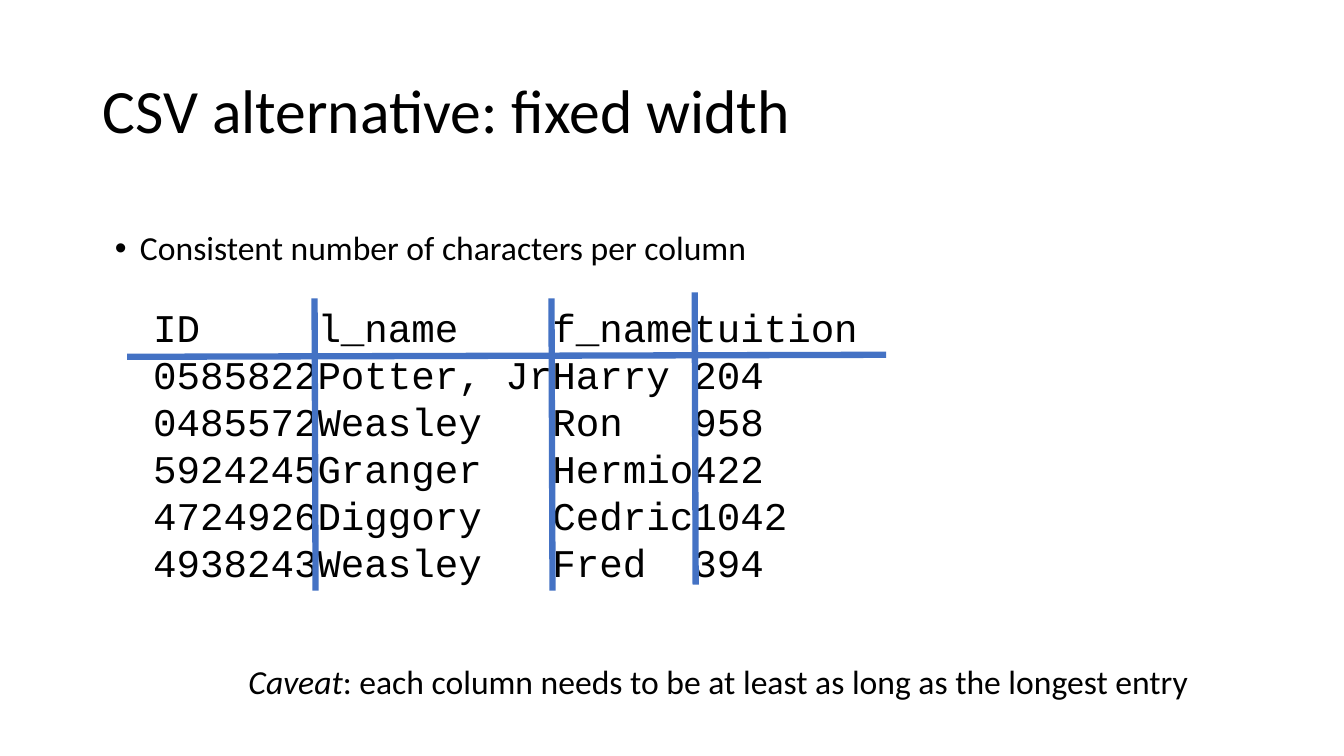
from pptx import Presentation
from pptx.util import Inches, Pt
from pptx.dml.color import RGBColor
from pptx.enum.shapes import MSO_CONNECTOR
from pptx.enum.text import MSO_ANCHOR, PP_ALIGN
from lxml.etree import SubElement
from pptx.oxml.ns import qn

# Content
TITLE = "CSV alternative: fixed width"
POINT = "Consistent number of characters per column"
CAVEAT = [("Caveat", True),
          (": each column needs to be at least as long as the longest entry", False)]
WIDTHS = (7, 10, 6, 0)  # characters per column
ROWS = [
    ("ID", "l_name", "f_name", "tuition"),
    ("0585822", "Potter, Jr", "Harry", "204"),
    ("0485572", "Weasley", "Ron", "958"),
    ("5924245", "Granger", "Hermio", "422"),
    ("4724926", "Diggory", "Cedric", "1042"),
    ("4938243", "Weasley", "Fred", "394"),
]
RULES = [(3.12, 2.96), (5.47, 2.96), (6.89, 2.9)]  # top ends of column rules
TALL, LEAN = 2.9, 0.01
HEAD = (1.26, 3.54, 8.79, 3.52)  # between the headings and the first row

BLACK = RGBColor(0, 0, 0)
BLUE = RGBColor(0x44, 0x72, 0xC4)
SANS, MONO = "Calibri", "Courier New"
PAD = (chr(160) + " ") * 5  # no-break fill for short fields

deck = Presentation()
deck.slide_width, deck.slide_height = Inches(13.33), Inches(7.5)
slide = deck.slides.add_slide(deck.slide_layouts[6])


def add_box(left, top, width, height):
    box = slide.shapes.add_textbox(*map(Inches, (left, top, width, height)))
    box.text_frame.word_wrap = True
    return box.text_frame


def add_run(para, text, size, font=SANS, italic=False):
    run = para.add_run()
    run.text = text
    run.font.size, run.font.name = Pt(size), font
    run.font.italic = italic
    run.font.color.rgb = BLACK


def add_rule(*ends):
    rule = slide.shapes.add_connector(MSO_CONNECTOR.STRAIGHT, *map(Inches, ends))
    rule.line.color.rgb, rule.line.width = BLUE, Pt(4.5)
    SubElement(rule._element.spPr, qn("a:effectLst"))


# Title
frame = add_box(0.92, 0.4, 11.5, 1.45)
frame.vertical_anchor = MSO_ANCHOR.MIDDLE
para = frame.paragraphs[0]
para.line_spacing = 0.9
add_run(para, TITLE, 44)

# Bullet point
para = add_box(0.54, 2.25, 9.06, 0.94).paragraphs[0]
para.line_spacing, para.space_before = 0.9, Pt(5)
props = para._p.get_or_add_pPr()
props.set("marL", str(Inches(0.75)))
props.set("indent", str(Inches(-0.25)))
SubElement(props, qn("a:buFont"), typeface="Arial")
SubElement(props, qn("a:buChar"), char="•")
add_run(para, POINT, 24)

# Fixed-width data
frame = add_box(1.42, 2.96, 10.15, 3.4)
for i, row in enumerate(ROWS):
    para = frame.add_paragraph() if i else frame.paragraphs[0]
    para.line_spacing = Pt(33.6)
    line = "".join(cell + PAD[:max(0, wide - len(cell))]
                   for cell, wide in zip(row, WIDTHS))
    add_run(para, line, 28, MONO)

# Caveat
para = add_box(0.91, 6.51, 12.43, 0.5).paragraphs[0]
para.alignment = PP_ALIGN.CENTER
for text, italic in CAVEAT:
    add_run(para, text, 24, italic=italic)

# Column and header rules
for x, y in RULES:
    add_rule(x, y, x + LEAN, y + TALL)
add_rule(*HEAD)

deck.save("out.pptx")
